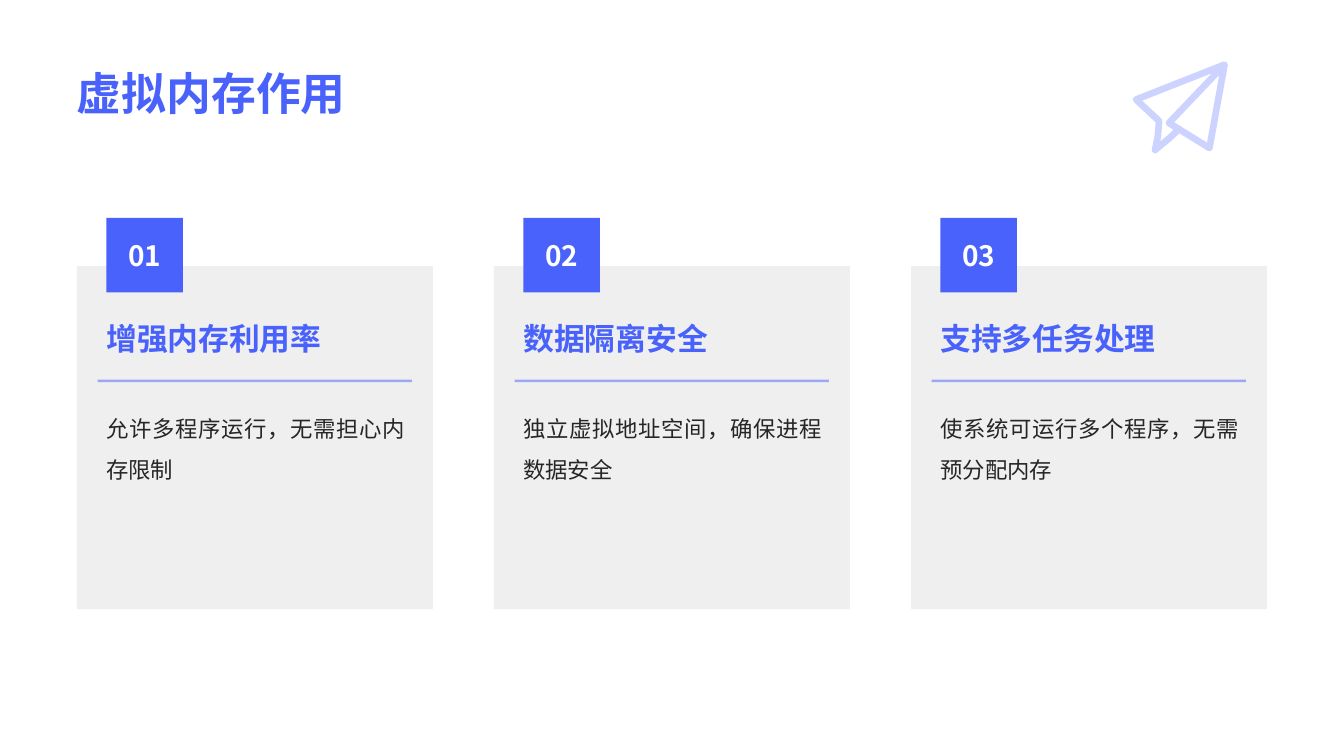
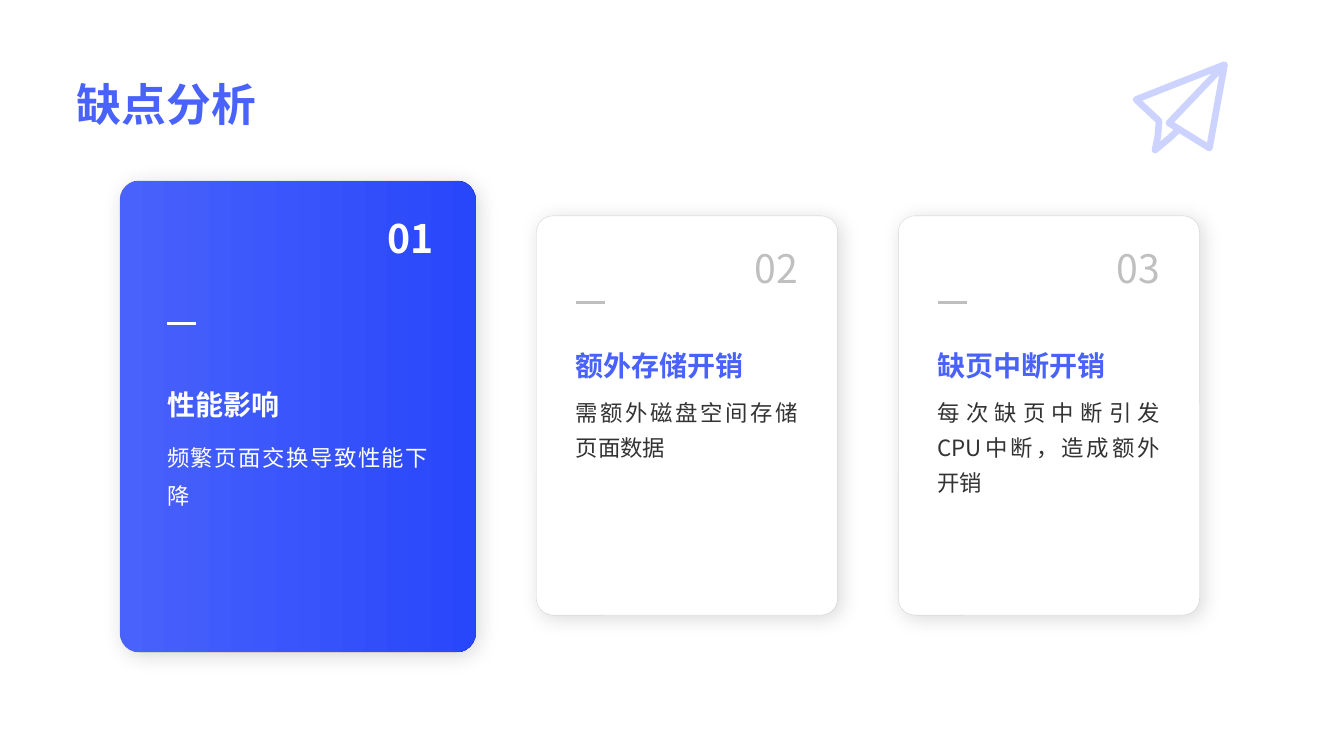
from dataclasses import dataclass

from lxml.etree import SubElement
from pptx import Presentation
from pptx.dml.color import RGBColor
from pptx.enum.shapes import MSO_CONNECTOR, MSO_SHAPE
from pptx.enum.text import MSO_ANCHOR as Anchor, PP_ALIGN as Align
from pptx.oxml.ns import qn
from pptx.util import Cm, Pt

BLUE = RGBColor(0x49, 0x62, 0xFB)
DEEP_BLUE = RGBColor(0x29, 0x47, 0xFA)
PALE_BLUE = RGBColor(0x92, 0xA1, 0xFD)
WHITE = RGBColor(0xFF, 0xFF, 0xFF)
BLACK = RGBColor(0, 0, 0)
GRAY = RGBColor(0x99, 0x99, 0x99)
LIGHT_GRAY = RGBColor(0xBF, 0xBF, 0xBF)
INK = RGBColor(0x26, 0x26, 0x26)
SOFT_INK = RGBColor(0x33, 0x33, 0x33)
CJK_FONT = "Noto Sans CJK SC"
MARGIN = 1.94

ROLES_TITLE = "虚拟内存作用"
ROLES = [
    ("增强内存利用率", "允许多程序运行，无需担心内存限制"),
    ("数据隔离安全", "独立虚拟地址空间，确保进程数据安全"),
    ("支持多任务处理", "使系统可运行多个程序，无需预分配内存"),
]
DRAWBACKS_TITLE = "缺点分析"
DRAWBACKS = [
    ("性能影响", "频繁页面交换导致性能下降"),
    ("额外存储开销", "需额外磁盘空间存储页面数据"),
    ("缺页中断开销", "每次缺页中断引发CPU中断，造成额外开销"),
]
PLANE_POINTS = [
    (30.84, 1.65), (27.43, 3.1), (30.48, 3.73), (30.86, 1.63), (28.63, 2.51),
    (29.21, 3.05), (29.18, 3.43), (29.11, 3.78), (29.46, 3.49), (29.72, 3.25),
]
PLANE_ORDER = [0, 1, 2, 3, 4, 5, 6, 7, 8, 9]
PLANE_POINTS = [
    (30.84, 1.65), (29.46, 3.1), (30.48, 3.73), (30.86, 1.63), (28.63, 2.51),
    (29.21, 3.05), (29.18, 3.43), (29.11, 3.78), (29.46, 3.49), (29.72, 3.25),
]


@dataclass
class CardStyle:
    """Sizes in cm and colours of one kind of drawback card."""
    top: float
    width: float
    height: float
    pad: float
    number_pad: float
    number_top: float
    dash_y: float
    heading_bottom: float
    body_top: float
    line_spacing: float
    accent: RGBColor
    heading_color: RGBColor
    body_color: RGBColor
    featured: bool = False


FEATURED = CardStyle(4.55, 8.97, 11.89, 1.19, 1.07, 5.41, 8.15, 10.62, 10.92, 1.4,
                     WHITE, WHITE, WHITE, featured=True)
PLAIN = CardStyle(5.44, 7.59, 10.06, 0.99, 0.99, 6.15, 7.62, 9.62, 9.86, 1.3,
                  LIGHT_GRAY, BLUE, SOFT_INK)


def set_opacity(element, percent):
    color = next(element.iter(qn("a:srgbClr")))
    SubElement(color, qn("a:alpha"), val=str(percent * 1000))


def write(shape, text, size, color, bold=False, align=Align.LEFT,
          anchor=Anchor.TOP, spacing=None, latin=CJK_FONT):
    frame = shape.text_frame
    frame.margin_left = frame.margin_right = frame.margin_top = frame.margin_bottom = 0
    frame.word_wrap = True
    frame.vertical_anchor = anchor
    para = frame.paragraphs[0]
    para.text = text
    para.alignment = align
    if spacing:
        para.line_spacing = spacing
    font = para.runs[0].font
    font.size, font.bold, font.name = Pt(size), bold, latin
    font.color.rgb = color
    SubElement(para.runs[0]._r.rPr, qn("a:ea"), typeface=CJK_FONT)


def add_text(slide, left, top, width, height, text, size, color, **style):
    box = slide.shapes.add_textbox(Cm(left), Cm(top), Cm(width), Cm(height))
    write(box, text, size, color, **style)


def add_block(slide, kind, left, top, width, height, color):
    block = slide.shapes.add_shape(kind, Cm(left), Cm(top), Cm(width), Cm(height))
    block.shadow.inherit = False
    block.fill.solid()
    block.fill.fore_color.rgb = color
    block.line.fill.background()
    return block


def add_rule(slide, left, y, length, color, weight):
    rule = slide.shapes.add_connector(
        MSO_CONNECTOR.STRAIGHT, Cm(left), Cm(y), Cm(left + length), Cm(y))
    rule.line.color.rgb = color
    rule.line.width = Pt(weight)
    SubElement(rule._element.spPr, qn("a:effectLst"))
    return rule


def add_plane(slide):
    start, *rest = [(Cm(x), Cm(y)) for x, y in PLANE_POINTS]
    builder = slide.shapes.build_freeform(*start)
    builder.add_line_segments(rest, close=False)
    plane = builder.convert_to_shape()
    plane.shadow.inherit = False
    plane.fill.background()
    plane.line.color.rgb = PALE_BLUE
    plane.line.width = Pt(4.75)
    outline = plane.line._get_or_add_ln()
    outline.set("cap", "rnd")
    SubElement(outline, qn("a:round"))
    set_opacity(outline, 46)


def add_page(deck, title, title_bottom):
    page = deck.slides.add_slide(deck.slide_layouts[6])
    add_plane(page)
    add_text(page, MARGIN, title_bottom - 2, 30, 2, title, 32, BLUE,
             bold=True, anchor=Anchor.BOTTOM, latin="Arial")
    return page


def add_role(page, index, heading, body):
    left = MARGIN + index * 10.51
    inner = left + 0.74
    card = add_block(page, MSO_SHAPE.RECTANGLE, left, 6.71, 8.97, 8.64, GRAY)
    set_opacity(card._element.spPr, 15)
    badge = add_block(page, MSO_SHAPE.RECTANGLE, inner, 5.49, 1.93, 1.88, BLUE)
    write(badge, f"{index + 1:02}", 20, WHITE, bold=True,
          align=Align.CENTER, anchor=Anchor.MIDDLE)
    add_text(page, inner, 7.9, 7.52, 1.24, heading, 22, BLUE,
             bold=True, anchor=Anchor.MIDDLE)
    rule = add_rule(page, left + 0.52, 9.6, 7.92, BLUE, 1.75)
    set_opacity(rule.line._get_or_add_ln(), 50)
    add_text(page, inner, 10.13, 7.52, 4.47, body, 16, INK,
             align=Align.JUSTIFY, spacing=1.5)


def add_soft_shadow(shape):
    effects = shape._element.spPr.find(qn("a:effectLst"))
    shadow = SubElement(effects, qn("a:outerShdw"), blurRad=str(Pt(15)),
                        dist=str(Pt(3)), dir=str(45 * 60000), algn="tl", rotWithShape="0")
    SubElement(shadow, qn("a:srgbClr"), val=str(BLACK))
    set_opacity(shadow, 15)


def add_drawback(page, index, left, style, heading, body):
    card = add_block(page, MSO_SHAPE.ROUNDED_RECTANGLE, left, style.top,
                     style.width, style.height, WHITE)
    card.adjustments[0] = 0.055
    if style.featured:
        card.fill.gradient()
        card.fill.gradient_angle = 0
        for stop, color in zip(card.fill.gradient_stops, (BLUE, DEEP_BLUE)):
            stop.color.rgb = color
    card.line.color.rgb = BLACK
    card.line.width = Pt(0.25)
    set_opacity(card.line._get_or_add_ln(), 15)
    add_soft_shadow(card)

    inner, width = left + style.pad, style.width - 2 * style.pad
    number_left = left + style.width - style.number_pad - 2.26
    add_text(page, number_left, style.number_top, 2.26, 1.5, f"{index + 1:02}", 28,
             style.accent, bold=style.featured, align=Align.RIGHT)
    add_rule(page, inner, style.dash_y, 0.74, style.accent, 2.25)
    add_text(page, inner, style.heading_bottom - 1.42, width, 1.42, heading, 20,
             style.heading_color, bold=True, align=Align.JUSTIFY, anchor=Anchor.BOTTOM)
    add_text(page, inner, style.body_top, width, 4.95, body, 16, style.body_color,
             align=Align.JUSTIFY, spacing=style.line_spacing)


def main():
    deck = Presentation()
    deck.slide_width, deck.slide_height = Cm(33.87), Cm(19.05)

    page = add_page(deck, ROLES_TITLE, 3)
    for index, role in enumerate(ROLES):
        add_role(page, index, *role)

    page = add_page(deck, DRAWBACKS_TITLE, 3.3)
    left = 3.02
    for index, drawback in enumerate(DRAWBACKS):
        style = PLAIN if index else FEATURED
        add_drawback(page, index, left, style, *drawback)
        left += style.width + 1.53

    deck.save("out.pptx")


if __name__ == "__main__":
    main()
